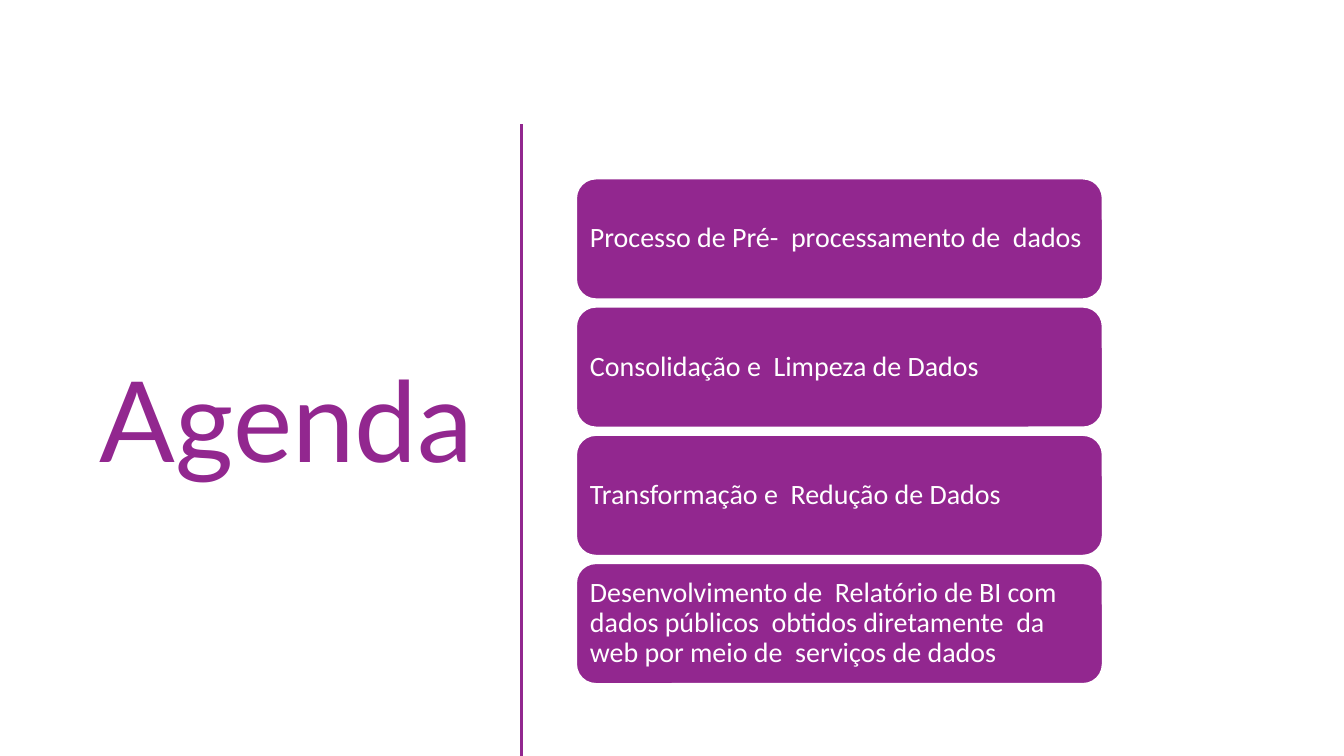
from lxml.etree import SubElement
from pptx import Presentation
from pptx.dml.color import RGBColor
from pptx.enum.shapes import MSO_CONNECTOR as Connector, MSO_SHAPE as Shape
from pptx.enum.text import MSO_ANCHOR as Anchor, PP_ALIGN as Align
from pptx.oxml.ns import qn
from pptx.util import Pt

# Content
HEADING = "Agenda"
TOPICS = [
    "Processo de Pré-  processamento de  dados",
    "Consolidação e  Limpeza de Dados",
    "Transformação e  Redução de Dados",
    "Desenvolvimento de  Relatório de BI com  dados públicos  obtidos "
    "diretamente  da web por meio de  serviços de dados",
]

# Layout, in points
SLIDE_W, SLIDE_H = 720, 405
TITLE_BOX = (28, 63.4, 232.6, 329.8)
DIVIDER_X, DIVIDER_TOP = 279.4, 66.6
CARD_LEFT, CARD_TOP, CARD_W, CARD_H = 308.4, 95.4, 282.6, 65.2
CARD_STEP = 68.7
CARD_INSET = 4.5

PURPLE, WHITE = "92278F", "FFFFFF"


def paint(color_format, hex_color):
    color_format.rgb = RGBColor.from_string(hex_color)


def write(frame, text, font_name, size, color, align, inset):
    frame.word_wrap = True
    frame.vertical_anchor = Anchor.MIDDLE
    frame.margin_left = frame.margin_right = Pt(inset)
    frame.margin_top = frame.margin_bottom = Pt(inset)
    paragraph = frame.paragraphs[0]
    paragraph.alignment = align
    paragraph.line_spacing = 0.9
    run = paragraph.add_run()
    run.text = text
    run.font.name = font_name
    run.font.size = Pt(size)
    paint(run.font.color, color)


deck = Presentation()
deck.slide_width, deck.slide_height = Pt(SLIDE_W), Pt(SLIDE_H)
slide = deck.slides.add_slide(deck.slide_layouts[5])

# Title
title = slide.shapes.title
title.left, title.top, title.width, title.height = map(Pt, TITLE_BOX)
write(title.text_frame, HEADING, "Lato", 60, PURPLE, Align.RIGHT, 7.2)

# Divider
divider = slide.shapes.add_connector(
    Connector.STRAIGHT, Pt(DIVIDER_X), Pt(DIVIDER_TOP), Pt(DIVIDER_X), Pt(SLIDE_H))
paint(divider.line.color, PURPLE)
divider.line.width = Pt(2)
SubElement(divider.element.spPr, qn("a:effectLst"))

# Topic cards
for index, topic in enumerate(TOPICS):
    card = slide.shapes.add_shape(
        Shape.ROUNDED_RECTANGLE, Pt(CARD_LEFT), Pt(CARD_TOP + index * CARD_STEP),
        Pt(CARD_W), Pt(CARD_H))
    card.shadow.inherit = False
    card.fill.solid()
    paint(card.fill.fore_color, PURPLE)
    paint(card.line.color, WHITE)
    card.line.width = Pt(1.5)
    write(card.text_frame, topic, "Calibri", 15, WHITE, Align.LEFT, CARD_INSET)

deck.save("out.pptx")
